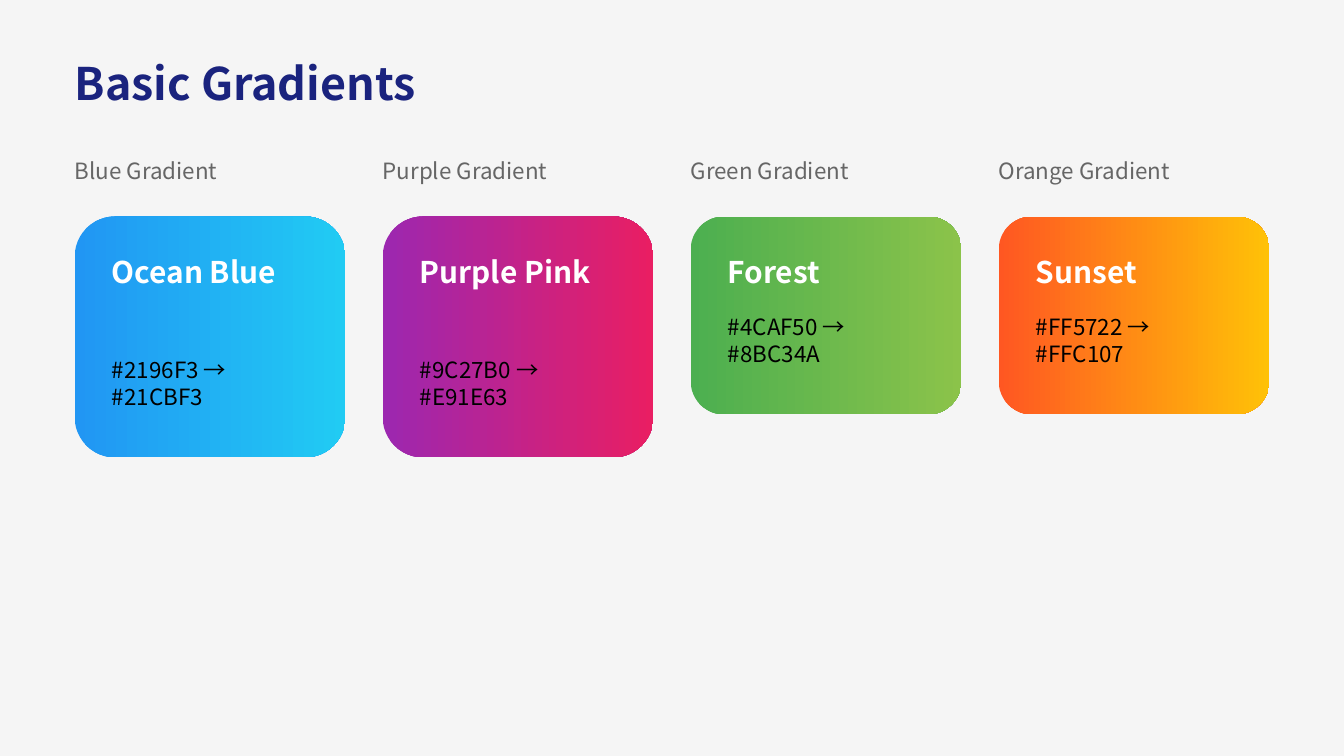
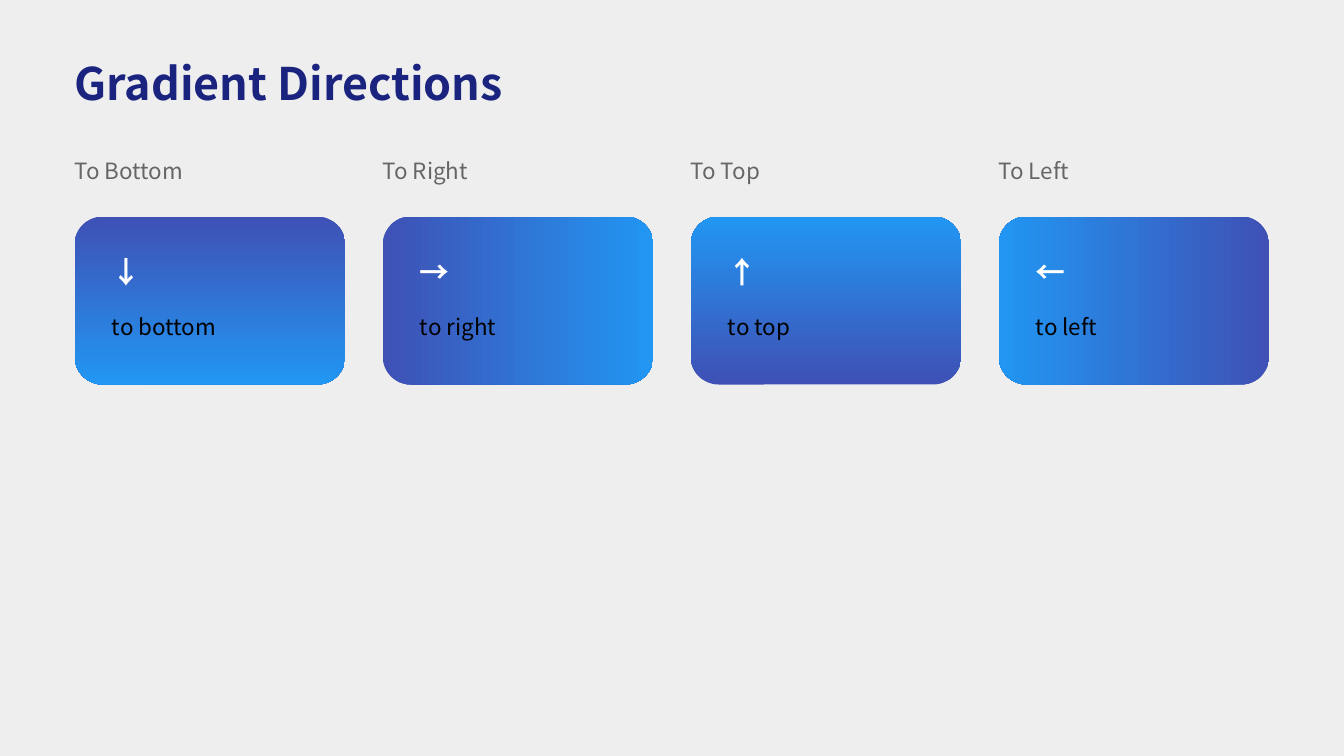
from dataclasses import dataclass

import pptx
import pptx.dml.color
import pptx.enum.shapes
import pptx.enum.text
import pptx.presentation
import pptx.slide
import pptx.util

PX = 6350  # 144 px to the inch


@dataclass(frozen=True)
class TextStyle:
    size: int
    color: str
    bold: bool = False


@dataclass(frozen=True)
class Theme:
    font: str = "Noto Sans CJK SC"
    title: TextStyle = TextStyle(24, "1A237E", True)
    label: TextStyle = TextStyle(12, "666666")
    heading: TextStyle = TextStyle(16, "FFFFFF", True)
    body: TextStyle = TextStyle(12, "000000")


@dataclass(frozen=True)
class CardSize:
    height: int
    heading_height: int
    body_height: int


@dataclass(frozen=True)
class Card:
    label: str
    heading: str
    body: str
    start: str
    end: str
    size: CardSize
    angle: int = 0  # clockwise: 0 runs right, 90 runs down


@dataclass(frozen=True)
class Page:
    title: str
    background: str
    cards: tuple[Card, ...]


THEME = Theme()

# Layout in px
SLIDE_WIDTH, SLIDE_HEIGHT = 1440, 810
MARGIN = 80
TITLE_TOP, TITLE_HEIGHT = 60, 68
LABEL_TOP, LABEL_HEIGHT = 168, 36
CARD_TOP, CARD_WIDTH, CARD_GAP = 232, 290, 40
CARD_PADDING, BODY_GAP = 40, 18

TALL = CardSize(258, 92, 68)
MEDIUM = CardSize(212, 46, 70)
SHORT = CardSize(180, 46, 36)
INDIGO, BLUE = "3F51B5", "2196F3"


def hex_card(label: str, heading: str, start: str, end: str, size: CardSize) -> Card:
    return Card(label, heading, f"#{start} → #{end}", start, end, size)


def direction_card(direction: str, arrow: str, angle: int) -> Card:
    return Card(f"To {direction.title()}", arrow, f"to {direction}", INDIGO, BLUE, SHORT, angle)


PAGES = (
    Page("Basic Gradients", "F5F5F5", (
        hex_card("Blue Gradient", "Ocean Blue", BLUE, "21CBF3", TALL),
        hex_card("Purple Gradient", "Purple Pink", "9C27B0", "E91E63", TALL),
        hex_card("Green Gradient", "Forest", "4CAF50", "8BC34A", MEDIUM),
        hex_card("Orange Gradient", "Sunset", "FF5722", "FFC107", MEDIUM),
    )),
    Page("Gradient Directions", "EEEEEE", (
        direction_card("bottom", "↓", 90),
        direction_card("right", "→", 0),
        direction_card("top", "↑", 270),
        direction_card("left", "←", 180),
    )),
)


def rgb(color: str) -> pptx.dml.color.RGBColor:
    return pptx.dml.color.RGBColor.from_string(color)


def add_text(slide: pptx.slide.Slide, text: str, style: TextStyle,
             left: int, top: int, width: int, height: int) -> None:
    box = slide.shapes.add_textbox(left * PX, top * PX, width * PX, height * PX)
    frame = box.text_frame
    frame.word_wrap = True
    frame.vertical_anchor = pptx.enum.text.MSO_ANCHOR.TOP
    frame.margin_left = frame.margin_top = frame.margin_right = frame.margin_bottom = 0
    paragraph = frame.paragraphs[0]
    paragraph.text = text
    paragraph.font.name = THEME.font
    paragraph.font.size = pptx.util.Pt(style.size)
    paragraph.font.bold = style.bold
    paragraph.font.color.rgb = rgb(style.color)


def add_card(slide: pptx.slide.Slide, card: Card, left: int) -> None:
    size = card.size
    add_text(slide, card.label, THEME.label, left, LABEL_TOP, CARD_WIDTH, LABEL_HEIGHT)

    # Gradient panel
    panel = slide.shapes.add_shape(
        pptx.enum.shapes.MSO_SHAPE.ROUNDED_RECTANGLE,
        left * PX, CARD_TOP * PX, CARD_WIDTH * PX, size.height * PX)
    panel.shadow.inherit = False
    panel.line.fill.background()
    panel.fill.gradient()
    panel.fill.gradient_angle = -card.angle % 360  # python-pptx counts counter-clockwise
    for stop, color, position in zip(panel.fill.gradient_stops, (card.start, card.end), (0, 1)):
        stop.color.rgb = rgb(color)
        stop.position = position

    # Heading and body
    text_left = left + CARD_PADDING
    text_width = CARD_WIDTH - 2 * CARD_PADDING
    heading_top = CARD_TOP + CARD_PADDING
    body_top = heading_top + size.heading_height + BODY_GAP
    add_text(slide, card.heading, THEME.heading,
             text_left, heading_top, text_width, size.heading_height)
    add_text(slide, card.body, THEME.body, text_left, body_top, text_width, size.body_height)


def add_page(presentation: pptx.presentation.Presentation, page: Page) -> None:
    slide = presentation.slides.add_slide(presentation.slide_layouts[6])
    slide.background.fill.solid()
    slide.background.fill.fore_color.rgb = rgb(page.background)
    add_text(slide, page.title, THEME.title,
             MARGIN, TITLE_TOP, SLIDE_WIDTH - 2 * MARGIN, TITLE_HEIGHT)
    for column, card in enumerate(page.cards):
        add_card(slide, card, MARGIN + column * (CARD_WIDTH + CARD_GAP))


def main() -> None:
    presentation = pptx.Presentation()
    presentation.slide_width = SLIDE_WIDTH * PX
    presentation.slide_height = SLIDE_HEIGHT * PX
    for page in PAGES:
        add_page(presentation, page)
    presentation.save("out.pptx")


if __name__ == "__main__":
    main()
